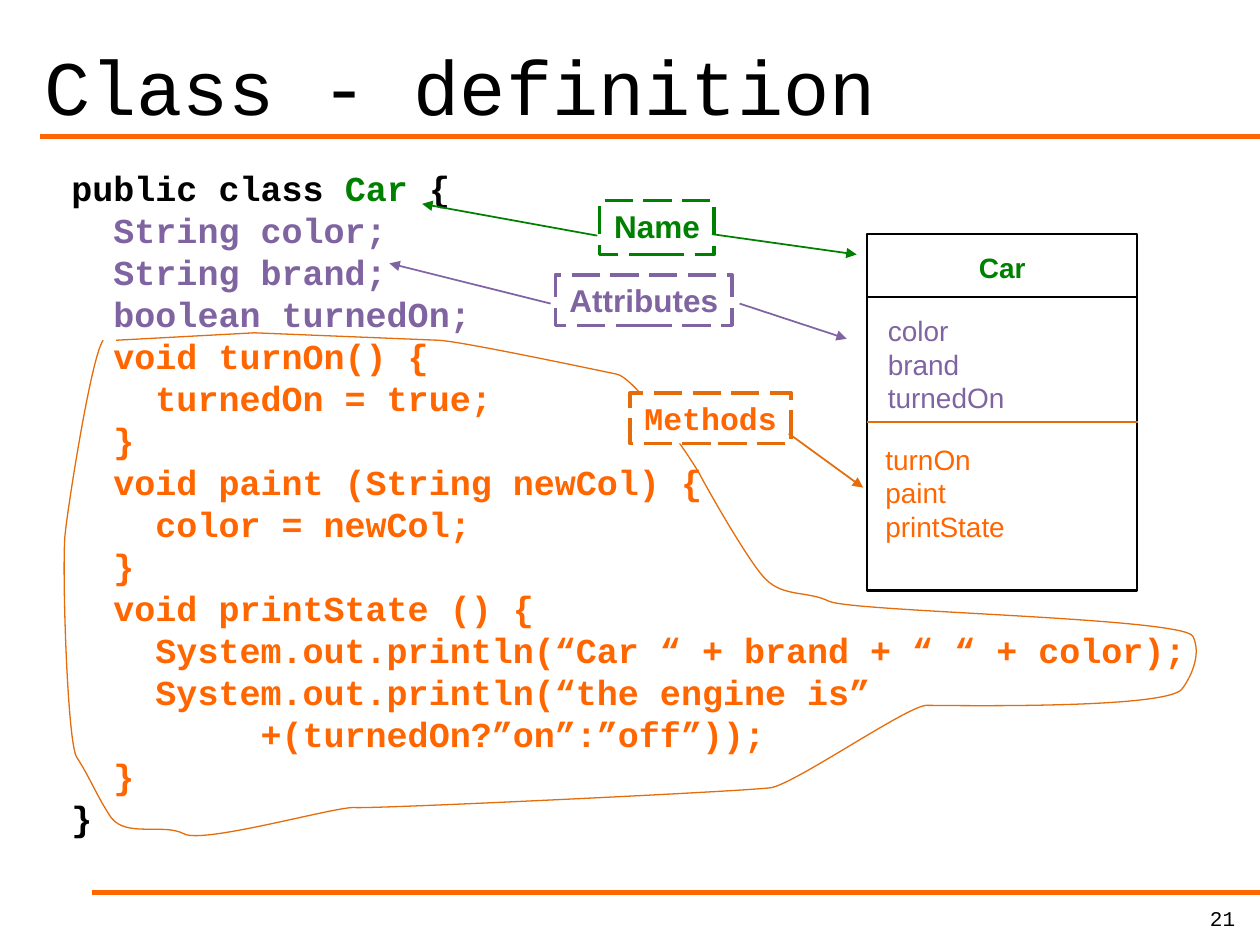
from lxml import etree
from pptx import Presentation
from pptx import util as u
from pptx.dml.color import RGBColor
from pptx.enum import dml, shapes, text
from pptx.oxml import ns

COLORS = {
    "black": "000000",
    "white": "FFFFFF",
    "green": "008000",
    "purple": "8064A2",
    "orange": "FF6600",
    "rust": "E46C0A",
}
RGB = {name: RGBColor.from_string(value) for name, value in COLORS.items()}
MONO, SANS = "Courier New", "Arial"
LEFT, CENTER, RIGHT = text.PP_ALIGN.LEFT, text.PP_ALIGN.CENTER, text.PP_ALIGN.RIGHT


def write(box, lines, font, size, bold=False, align=LEFT, grow=True):
    frame = box.text_frame
    layout = {
        "word_wrap": not grow,
        "auto_size": text.MSO_AUTO_SIZE.SHAPE_TO_FIT_TEXT if grow else text.MSO_AUTO_SIZE.NONE,
        "vertical_anchor": text.MSO_ANCHOR.TOP,
    }
    for key, value in layout.items():
        setattr(frame, key, value)
    for index, spans in enumerate(lines):
        para = frame.add_paragraph() if index else frame.paragraphs[0]
        para.alignment = align
        for words, color in spans:
            span = para.add_run()
            span.text = words
            for key, value in {"name": font, "size": u.Pt(size), "bold": bold}.items():
                setattr(span.font, key, value)
            span.font.color.rgb = RGB[color]


def draw_line(ends, color, width, arrow=False):
    line = page.shapes.add_connector(shapes.MSO_CONNECTOR.STRAIGHT, *map(u.Cm, ends))
    line.line.color.rgb = RGB[color]
    line.line.width = u.Pt(width)
    if arrow:
        etree.SubElement(line.line._get_or_add_ln(), ns.qn("a:tailEnd"), type="triangle")
    etree.SubElement(line._element.spPr, ns.qn("a:effectLst"))


deck = Presentation()
deck.slide_width, deck.slide_height = u.Cm(25.4), u.Cm(19.05)
page = deck.slides.add_slide(deck.slide_layouts[6])

for left, top in [(0.81, 2.75), (1.85, 17.99)]:
    draw_line((25.4, top, left, top), "orange", 3)

number = page.shapes.add_textbox(*map(u.Cm, (19.89, 18.14, 5.26, 0.76)))
write(number, [[("21", "black")]], MONO, 12, align=RIGHT, grow=False)

title = page.shapes.add_textbox(*map(u.Cm, (0.64, 0, 23.93, 2.77)))
write(title, [[("Class - definition", "black")]], MONO, 44, grow=False)
title.text_frame.vertical_anchor = text.MSO_ANCHOR.BOTTOM

loop_start = (2.08, 6.86)
loop_curves = [
    (1.83, 7.21), (1.35, 10.36), (1.32, 10.72),
    (1.24, 11.18), (1.35, 14.99), (1.55, 15.27),
    (1.8, 15.65), (1.98, 16.1), (2.24, 16.48),
    (2.54, 16.89), (3.3, 16.59), (3.71, 16.81),
    (4.09, 17.02), (6.76, 16.26), (7.14, 16.28),
    (7.54, 16.31), (15.09, 15.95), (15.54, 15.88),
    (16.03, 15.8), (18.26, 14.25), (18.67, 14.22),
    (19.13, 14.22), (23.52, 14.3), (23.83, 13.89),
    (24.05, 13.59), (24.21, 13.16), (24.05, 12.83),
    (23.88, 12.45), (17.17, 12.34), (16.71, 12.12),
    (16.28, 11.91), (15.8, 12.04), (15.44, 11.68),
    (15.14, 11.4), (14.3, 9.93), (14.1, 9.55),
    (13.84, 9.09), (12.78, 7.59), (12.42, 7.54),
    (12.07, 7.47), (9.3, 6.88), (8.84, 6.86),
]
loop_lines = [(5.13, 6.71), (2.34, 6.86)]
builder = page.shapes.build_freeform(*map(u.Cm, loop_start))
builder.add_line_segments(
    [(u.Cm(x), u.Cm(y)) for x, y in loop_curves + loop_lines], close=False
)
loop = builder.convert_to_shape()
loop.shadow.inherit = False
loop.fill.background()
loop.line.color.rgb = RGB["rust"]
loop.line.width = u.Pt(0.75)
segments = list(loop._element.iter(ns.qn("a:lnTo")))[:len(loop_curves)]
for first in range(0, len(segments), 3):
    curve = etree.Element(ns.qn("a:cubicBezTo"))
    segments[first].addprevious(curve)
    for segment in segments[first:first + 3]:
        curve.append(segment[0])
        segment.getparent().remove(segment)

code_lines = [
    [("public class ", "black"), ("Car ", "green"), ("{", "black")],
    [("  String color;", "purple")],
    [("  String brand;", "purple")],
    [("  boolean turnedOn;", "purple")],
    [("  void turnOn() {", "orange")],
    [("    turnedOn = true;", "orange")],
    [("  }", "orange")],
    [("  void paint (String newCol) {", "orange")],
    [("    color = newCol;", "orange")],
    [("  }", "orange")],
    [("  void printState () {", "orange")],
    [("    System.out.println(“Car “ + brand + “ “ + color);", "orange")],
    [("    System.out.println(“the engine is”", "orange")],
    [("         +(turnedOn?”on”:”off”));", "orange")],
    [("  }", "orange")],
    [("}", "black")],
]
code = page.shapes.add_textbox(*map(u.Cm, (1.19, 3.23, 23.16, 13.94)))
write(code, code_lines, MONO, 20, bold=True)

rectangles = [
    ((17.48, 4.72, 5.44, 7.19), "black", 1.5, None, None, None),
    ((12.09, 4.04, 2.31, 1.09), "green", 2, "Name", "green", SANS),
    ((11.2, 5.54, 3.56, 1.02), "purple", 2, "Attributes", "purple", SANS),
    ((12.7, 7.92, 3.25, 1.02), "rust", 2, "Methods", "orange", MONO),
]
for place, border, width, label, color, font in rectangles:
    box = page.shapes.add_shape(shapes.MSO_SHAPE.RECTANGLE, *map(u.Cm, place))
    box.shadow.inherit = False
    box.fill.solid()
    box.fill.fore_color.rgb = RGB["white"]
    box.line.color.rgb = RGB[border]
    box.line.width = u.Pt(width)
    if label:
        box.line.dash_style = dml.MSO_LINE.LONG_DASH
        write(box, [[(label, color)]], font, 18, bold=True, align=CENTER)

for top, color in [(5.99, "black"), (8.51, "rust")]:
    draw_line((17.48, top, 22.94, top), color, 1)

members = [
    ((19.48, 4.93, 1.45, 0.94), ["Car"], "green", True, CENTER),
    ((17.65, 6.2, 2.87, 2.29), ["color", "brand", "turnedOn"], "purple", False, LEFT),
    ((17.6, 8.79, 2.92, 2.97), ["turnOn", "paint", "printState"], "orange", False, LEFT),
]
for place, names, color, bold, align in members:
    box = page.shapes.add_textbox(*map(u.Cm, place))
    write(box, [[(name, color)] for name in names], SANS, 16, bold, align)

arrows = [
    ((12.04, 4.75, 8.51, 4.11), "green"),
    ((14.35, 4.72, 17.27, 5.13), "green"),
    ((11.1, 6.12, 7.85, 5.31), "purple"),
    ((14.91, 6.12, 17.07, 6.83), "purple"),
    ((15.9, 8.74, 17.4, 9.83), "rust"),
]
for ends, color in arrows:
    draw_line(ends, color, 1, arrow=True)

deck.save("out.pptx")
